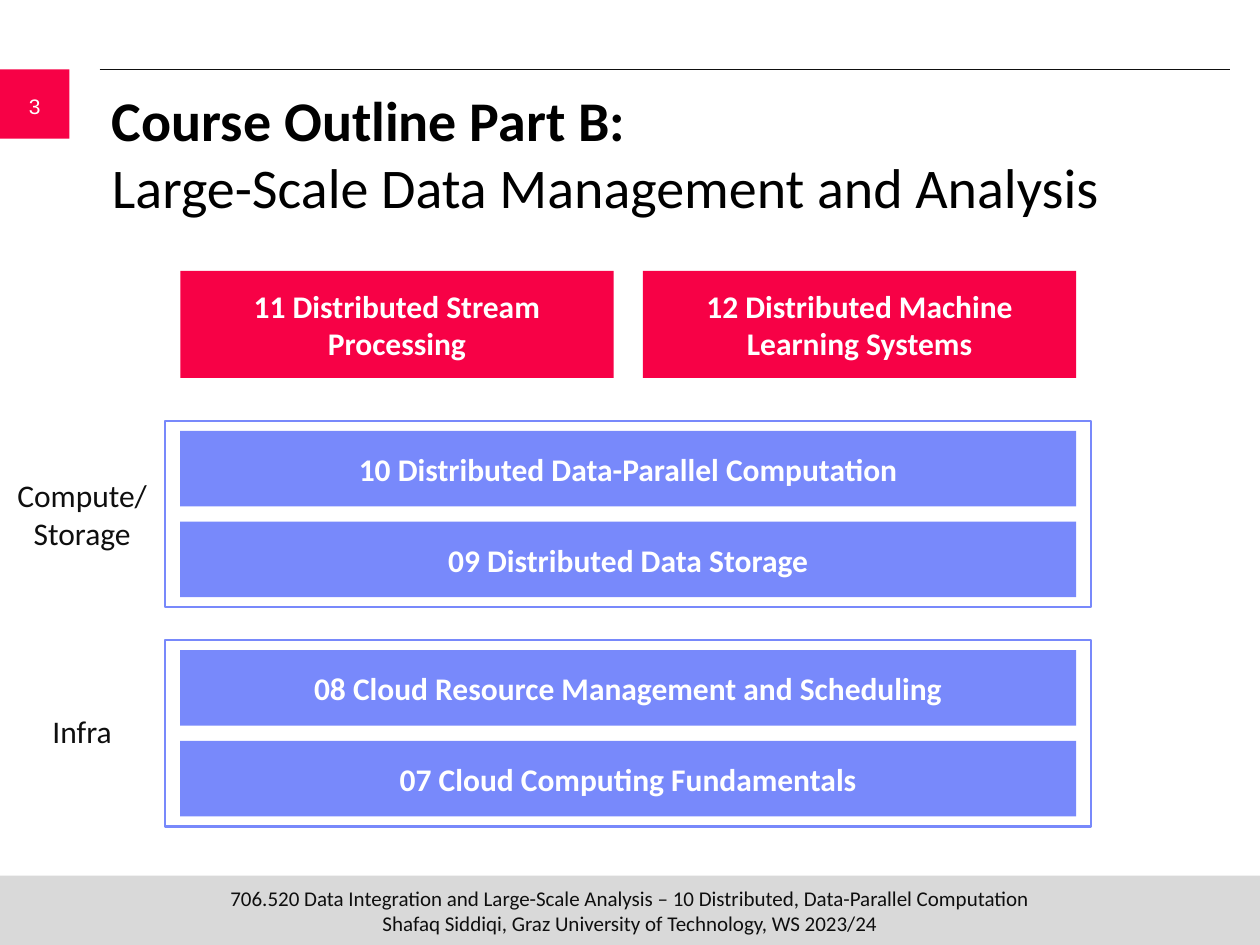
from pptx import Presentation
from pptx.dml.color import RGBColor
from pptx.enum.shapes import MSO_CONNECTOR as Connector, MSO_SHAPE as Shape
from pptx.enum.text import MSO_ANCHOR as Anchor, PP_ALIGN as Align
from pptx.oxml.ns import qn
from pptx.util import Pt
from lxml.etree import SubElement

RED = RGBColor(0xF7, 0x01, 0x46)
BLUE = RGBColor(0x78, 0x89, 0xFB)
GREY = RGBColor(0xD9, 0xD9, 0xD9)
INK = RGBColor(0x0F, 0x0F, 0x0F)
BLACK = RGBColor(0, 0, 0)
WHITE = RGBColor(0xFF, 0xFF, 0xFF)

BAR_LEFT, BAR_WIDTH, BAR_HEIGHT, BAR_PITCH = 103, 512, 43.2, 51.9
TOPIC_TOP, TOPIC_WIDTH, TOPIC_HEIGHT = 154.8, 247.6, 61.2
FRAME_LEFT, FRAME_WIDTH, FRAME_HEIGHT, FRAME_PAD = 94.4, 529, 106.5, 5.7
FOOTER_TOP, TAB_SIZE = 500.4, 39.6

TOPICS = ["11 Distributed Stream\nProcessing", "12 Distributed Machine Learning Systems"]
LAYERS = [
    (365.8, "Infra", 403.2, 28.8,
     ["08 Cloud Resource Management and Scheduling", "07 Cloud Computing Fundamentals"]),
    (240.5, "Compute/\nStorage", 268.6, 51.1,
     ["10 Distributed Data-Parallel Computation", "09 Distributed Data Storage"]),
]


def style(span, size, color, bold=False, name="Calibri"):
    span.font.size = Pt(size)
    span.font.name = name
    span.font.bold = bold
    span.font.color.rgb = color


def write(box, text, size, color, bold=False, name="Calibri", anchor=Anchor.MIDDLE):
    frame = box.text_frame
    frame.word_wrap = True
    frame.vertical_anchor = anchor
    para = frame.paragraphs[0]
    para.text = text
    para.alignment = Align.CENTER
    for span in para.runs:
        style(span, size, color, bold, name)


def set_margins(box, side, edge):
    frame = box.text_frame
    frame.margin_left = frame.margin_right = Pt(side)
    frame.margin_top = frame.margin_bottom = Pt(edge)


def add_box(page, left, top, width, height):
    return page.shapes.add_textbox(Pt(left), Pt(top), Pt(width), Pt(height))


def add_rect(page, left, top, width, height, fill=None, line=None):
    rect = page.shapes.add_shape(Shape.RECTANGLE, Pt(left), Pt(top), Pt(width), Pt(height))
    rect.shadow.inherit = False
    if fill is None:
        rect.fill.background()
    else:
        rect.fill.solid()
        rect.fill.fore_color.rgb = fill
    if line is None:
        rect.line.fill.background()
    else:
        rect.line.color.rgb = line
        rect.line.width = Pt(1.5)
    return rect


def add_rule(page):
    rule = page.shapes.add_connector(Connector.STRAIGHT, Pt(56.9), Pt(TAB_SIZE), Pt(702.7), Pt(TAB_SIZE))
    rule.line.color.rgb = INK
    rule.line.width = Pt(0.5)
    SubElement(rule._element.spPr, qn("a:effectLst"))


def add_page_frame(page):
    footer = add_rect(page, 0, FOOTER_TOP, 720, TAB_SIZE, GREY)
    set_margins(footer, 0, 0)
    write(footer, "706.520 Data Integration and Large-Scale Analysis – 10 Distributed, Data-Parallel Computation\n"
          "Shafaq Siddiqi, Graz University of Technology, WS 2023/24", 12, INK)
    add_rule(page)
    add_rect(page, 0, TAB_SIZE, TAB_SIZE, TAB_SIZE, RED)
    write(add_box(page, 0, 46.1, TAB_SIZE, 28.8), "3", 12, WHITE, name="Arial")


def add_title(page):
    box = add_box(page, 56.9, 45.4, 645.1, 59.8)
    box.text_frame.word_wrap = True
    para = box.text_frame.paragraphs[0]
    para.text = "Course Outline Part B:\nLarge-Scale Data Management and Analysis"
    for span, bold in zip(para.runs, (True, False)):
        style(span, 32, BLACK, bold)


def add_topics(page):
    for column, text in enumerate(TOPICS):
        left = BAR_LEFT + column * (BAR_WIDTH - TOPIC_WIDTH)
        write(add_rect(page, left, TOPIC_TOP, TOPIC_WIDTH, TOPIC_HEIGHT, RED), text, 18, WHITE, True)


def add_layer(page, top, label, label_top, label_height, bars):
    for row, text in enumerate(bars):
        bar_top = top + FRAME_PAD + row * BAR_PITCH
        write(add_rect(page, BAR_LEFT, bar_top, BAR_WIDTH, BAR_HEIGHT, BLUE), text, 18, WHITE, True)
    add_rect(page, FRAME_LEFT, top, FRAME_WIDTH, FRAME_HEIGHT, line=BLUE)
    box = add_box(page, 1.6, label_top, 90.7, label_height)
    set_margins(box, 0, 3.6)
    write(box, label, 18, INK, anchor=Anchor.TOP)


def main():
    deck = Presentation()
    deck.slide_width, deck.slide_height = Pt(720), Pt(540)
    page = deck.slides.add_slide(deck.slide_layouts[6])
    add_page_frame(page)
    add_title(page)
    add_topics(page)
    for layer in LAYERS:
        add_layer(page, *layer)
    deck.save("out.pptx")


if __name__ == "__main__":
    main()
